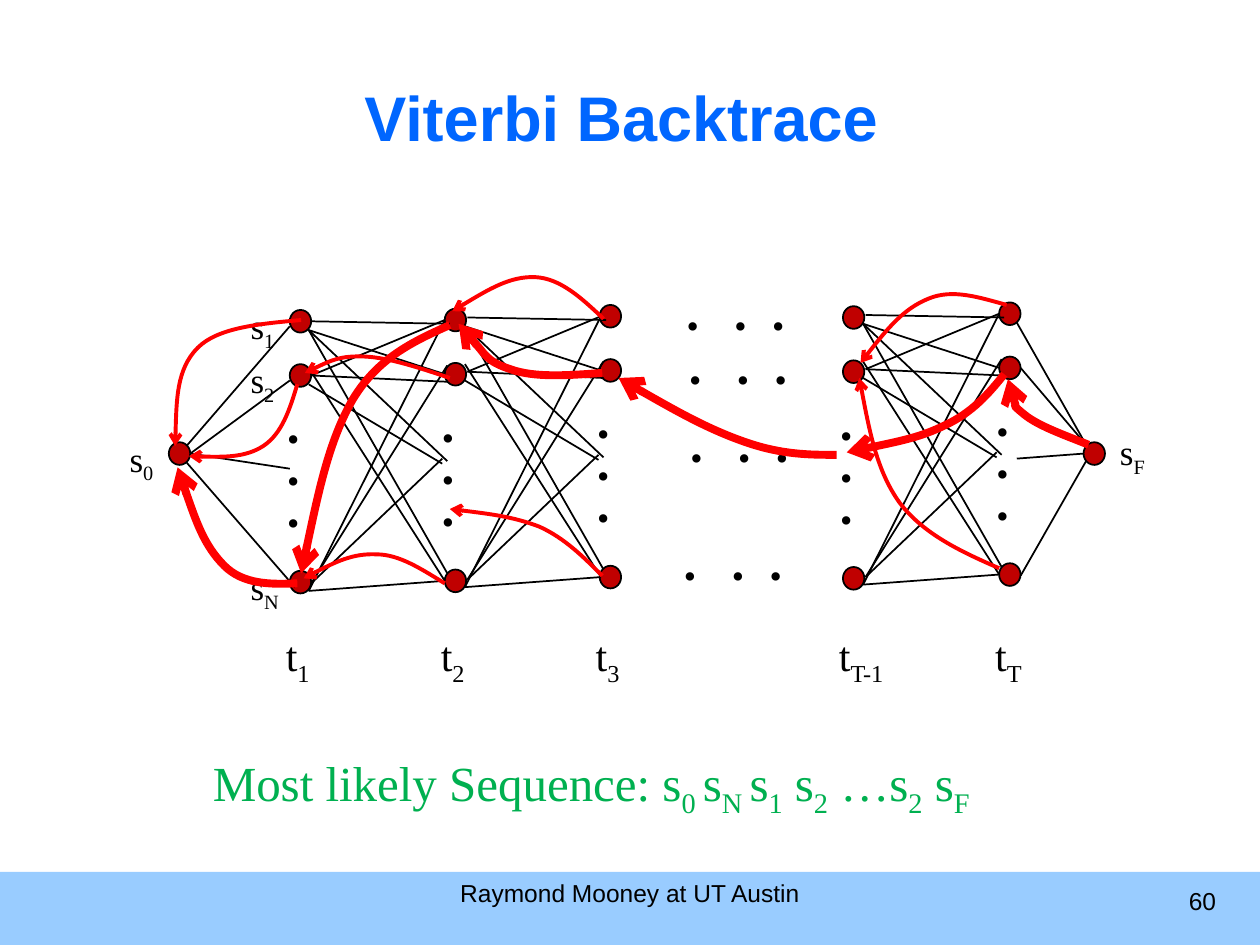
import pptx
import pptx.util
import pptx.dml.color
import pptx.enum.shapes
import pptx.enum.text
import pptx.oxml.ns
from dataclasses import dataclass
from lxml import etree

Inches = pptx.util.Inches
qn = pptx.oxml.ns.qn
ALIGN = pptx.enum.text.PP_ALIGN
SHAPE = pptx.enum.shapes.MSO_SHAPE


@dataclass(frozen=True)
class Theme:
    """Colours, fonts and type sizes of the slide."""
    title: str = "0066FF"
    ink: str = "000000"
    node: str = "C00000"
    trace: str = "FF0000"
    answer: str = "00B050"
    band: str = "99CCFF"
    sans: str = "Arial"
    serif: str = "Times New Roman"
    title_size: int = 36
    answer_size: int = 28
    time_size: int = 24
    state_size: int = 20
    footer_size: int = 14


T = Theme()
NODE_W, NODE_H = 0.17, 0.18
ROWS = (0, 0.43, 2.07)
# Columns as (x, y, time subscript)
COLUMNS = ((1.30, 0.46, "1"), (2.53, 0.45, "2"), (3.76, 0.42, "3"),
           (5.69, 0.43, "T-1"), (6.93, 0.40, "T"))
TRELLISES = ((1.45, 0.55), (2.69, 0.52), (5.85, 0.5))
# Start of each fan of lines and the points it reaches
FANS = {
    (0.02, 0): ((1.12, 0.02),),
    (0, 0.07): ((1.08, 0.42), (1.10, 2.00), (1.10, 1.11)),
    (0.02, 0.43): ((1.08, -0.01), (1.10, 0.48)),
    (0, 0.37): ((1.08, 2.06),),
    (0, 0.50): ((1.06, 1.13),),
    (0, 2.14): ((1.08, -0.01), (1.08, 2.06)),
    (0.02, 2.08): ((1.10, 0.35), (1.06, 1.09)),
}
END_LINES = (
    (0.48, 1.54, 1.30, 0.59), (0.51, 1.60, 1.30, 1.02),
    (0.48, 1.67, 1.34, 2.66), (0.51, 1.60, 1.30, 1.72),
    (7.07, 0.56, 7.62, 1.53), (7.10, 0.92, 7.62, 1.53),
    (7.10, 2.57, 7.62, 1.66), (7.07, 1.64, 7.60, 1.60))
GAP_ROWS = ((4.35, 0.36), (4.37, 0.79), (4.38, 1.41), (4.33, 2.34))
# Backpointers: start, then two cubic segments of three points
BACKPOINTERS = (
    ((6.99, .42), (6.77, .36), (6.56, .29), (6.37, .37), (6.17, .45), (6, .66), (5.83, .88)),
    ((6.93, 2.51), (6.63, 2.38), (6.33, 2.24), (6.14, 1.99), (5.96, 1.74), (5.89, 1.37), (5.82, 1)),
    ((3.79, .53), (3.62, .37), (3.45, .21), (3.25, .2), (3.05, .19), (2.82, .33), (2.59, .47)),
    ((3.78, 2.57), (3.63, 2.42), (3.48, 2.27), (3.28, 2.18), (3.07, 2.1), (2.82, 2.07), (2.57, 2.04)),
    ((2.57, 1), (2.33, .92), (2.09, .84), (1.9, .83), (1.7, .82), (1.56, .89), (1.42, .96)),
    ((2.53, 2.63), (2.35, 2.52), (2.17, 2.4), (1.99, 2.4), (1.8, 2.39), (1.6, 2.49), (1.41, 2.59)),
    ((1.39, .54), (1.06, .57), (.73, .6), (.57, .76), (.4, .93), (.4, 1.24), (.39, 1.54)),
    ((1.36, 1.05), (1.3, 1.25), (1.24, 1.44), (1.09, 1.54), (.95, 1.63), (.72, 1.63), (.5, 1.62)),
)
BEST_PATH = (
    ((7.64, 1.53), (7.44, 1.45), (7.24, 1.38), (7.13, 1.29), (7.02, 1.2), (7.01, 1.11), (7, 1.01)),
    ((6.97, .97), (6.85, 1.12), (6.72, 1.27), (6.51, 1.37), (6.31, 1.47), (6.01, 1.53), (5.72, 1.59)),
    ((5.64, 1.61), (5.43, 1.61), (5.21, 1.61), (4.92, 1.51), (4.63, 1.41), (4.27, 1.21), (3.91, 1)),
    ((3.78, .96), (3.51, .98), (3.24, 1), (3.05, .93), (2.86, .87), (2.64, .57), (2.64, .57)),
    ((2.57, .58), (2.28, .71), (2, .84), (1.8, 1.17), (1.61, 1.5), (1.5, 2.03), (1.39, 2.55)),
    ((1.36, 2.63), (1.15, 2.64), (.93, 2.64), (.78, 2.49), (.62, 2.33), (.51, 2.02), (.41, 1.71)),
)


def rgb(value):
    """Return a colour from its hex form."""
    return pptx.dml.color.RGBColor.from_string(value)


def write(tf, paragraphs, size, color=T.ink, font=T.serif, bold=False,
          align=ALIGN.LEFT, tabs=()):
    """Fill a frame; in each paragraph every second piece is a subscript."""
    for i, pieces in enumerate(paragraphs):
        p = tf.paragraphs[0] if i == 0 else tf.add_paragraph()
        p.alignment = align
        if tabs:
            stops = etree.SubElement(p._p.get_or_add_pPr(), qn("a:tabLst"))
            for pos in tabs:
                etree.SubElement(stops, qn("a:tab"), pos=str(Inches(pos)), algn="l")
        for j, piece in enumerate(pieces):
            r = p.add_run()
            r.text = piece
            r.font.size, r.font.name = pptx.util.Pt(size), font
            r.font.bold, r.font.color.rgb = bold, rgb(color)
            if j % 2:
                r._r.get_or_add_rPr().set("baseline", "-25000")


def add_text(s, x, y, w, h, paragraphs, size, wrap=False, **fmt):
    """Add a text box with formatted text."""
    tf = s.shapes.add_textbox(Inches(x), Inches(y), Inches(w), Inches(h)).text_frame
    tf.word_wrap = wrap
    write(tf, paragraphs, size, **fmt)


def add_line(s, x1, y1, x2, y2):
    """Add a thin black line."""
    ln = s.shapes.add_connector(pptx.enum.shapes.MSO_CONNECTOR.STRAIGHT,
                                Inches(x1), Inches(y1), Inches(x2), Inches(y2))
    ln.line.color.rgb, ln.line.width = rgb(T.ink), pptx.util.Pt(1)
    etree.SubElement(ln._element.spPr, qn("a:effectLst"))


def add_node(s, x, y):
    """Add a state circle."""
    sp = s.shapes.add_shape(SHAPE.OVAL, Inches(x), Inches(y), Inches(NODE_W), Inches(NODE_H))
    sp.shadow.inherit = False
    sp.fill.solid()
    sp.fill.fore_color.rgb = rgb(T.node)
    sp.line.color.rgb, sp.line.width = rgb(T.ink), pptx.util.Pt(1)


def add_arc(s, x, y, points, width):
    """Add a red curved arrow through cubic control points."""
    pts = [(Inches(x + px), Inches(y + py)) for px, py in points]
    fb = s.shapes.build_freeform(*pts[0], scale=1.0)
    fb.add_line_segments(pts[1:], close=False)
    sp = fb.convert_to_shape()
    sp.shadow.inherit = False
    sp.fill.background()
    sp.line.color.rgb, sp.line.width = rgb(T.trace), pptx.util.Pt(width)
    segments = list(sp._element.iter(qn("a:lnTo")))
    for i in range(0, len(segments), 3):
        curve = etree.Element(qn("a:cubicBezTo"))
        segments[i].addprevious(curve)
        for seg in segments[i:i + 3]:
            curve.append(seg[0])
            seg.getparent().remove(seg)
    etree.SubElement(sp.line._get_or_add_ln(), qn("a:tailEnd"), type="arrow")


def add_column(s, x, y, label_y, sub):
    """Add the states of one time step, its dots and its time label."""
    for dy in ROWS:
        add_node(s, x, y + dy)
    add_text(s, x - 0.12, y + 0.8, 0.33, 1.11, [["•"]] * 3, T.state_size)
    width = {"T-1": 0.63, "T": 0.46}.get(sub, 0.43)
    add_text(s, x - 0.13, label_y, width, 0.5, [["t", sub]], T.time_size)


def add_trellis(s, x, y):
    """Add the lines between two neighbouring columns."""
    for (x1, y1), ends in FANS.items():
        for x2, y2 in ends:
            add_line(s, x + x1, y + y1, x + x2, y + y2)


def add_diagram(s, x, y):
    """Add the state lattice with its backpointers."""
    for cx, cy, sub in COLUMNS:
        add_column(s, x + cx, y + cy, y + 2.95, sub)
    for dy, sub, w in zip(ROWS, "12N", (0.4, 0.4, 0.45)):
        add_text(s, x + 0.89, y + 0.37 + dy, w, 0.44, [["s", sub]], T.state_size)
    for nx, lx, ly, w, sub in ((0.34, -0.07, 1.42, 0.4, "0"), (7.6, 7.79, 1.37, 0.43, "F")):
        add_node(s, x + nx, y + 1.51)
        add_text(s, x + lx, y + ly, w, 0.44, [["s", sub]], T.state_size)
    for tx, ty in TRELLISES:
        add_trellis(s, x + tx, y + ty)
    for x1, y1, x2, y2 in END_LINES:
        add_line(s, x + x1, y + y1, x + x2, y + y2)
    for gx, gy in GAP_ROWS:
        add_text(s, x + gx, y + gy, 1.08, 0.44, [["•\t•\t•"]], T.state_size,
                 wrap=True, tabs=(0.38, 0.68))
    for arcs, width in ((BACKPOINTERS, 2.25), (BEST_PATH, 4.5)):
        for points in arcs:
            add_arc(s, x, y, points, width)


def add_title(s, x, y, w, h):
    """Place and format the title."""
    sp = s.shapes.title
    sp.left, sp.top, sp.width, sp.height = map(Inches, (x, y, w, h))
    sp.text_frame.vertical_anchor = pptx.enum.text.MSO_ANCHOR.MIDDLE
    write(sp.text_frame, [["Viterbi Backtrace "]], T.title_size, color=T.title,
          font=T.sans, bold=True, align=ALIGN.CENTER)


def add_footer(s, x, y, w, h):
    """Add the bottom band with author and slide number."""
    sp = s.shapes.add_shape(SHAPE.RECTANGLE, Inches(x), Inches(y), Inches(w), Inches(h))
    sp.shadow.inherit = False
    sp.fill.solid()
    sp.fill.fore_color.rgb = rgb(T.band)
    sp.line.fill.background()
    sp.text_frame.vertical_anchor = pptx.enum.text.MSO_ANCHOR.TOP
    write(sp.text_frame, [["Raymond Mooney at UT Austin"]], T.footer_size,
          font=T.sans, align=ALIGN.CENTER)
    add_text(s, x + w - 2.58, y + 0.06, 2.33, 0.52, [["60"]], T.footer_size,
             wrap=True, font=T.sans, align=ALIGN.RIGHT)


prs = pptx.Presentation()
prs.slide_width, prs.slide_height = Inches(10), Inches(7.5)
s = prs.slides.add_slide(prs.slide_layouts[5])
add_title(s, 0.5, 0.3, 9, 1.25)
add_diagram(s, 1, 2)
add_text(s, 1.59, 5.92, 7.05, 0.57,
         [["Most likely Sequence: s", "0 ", "s", "N ", "s", "1", " s", "2", " …s", "2", " s", "F"]],
         T.answer_size, wrap=True, color=T.answer)
add_footer(s, 0, 6.92, 10, 0.58)
prs.save("out.pptx")
